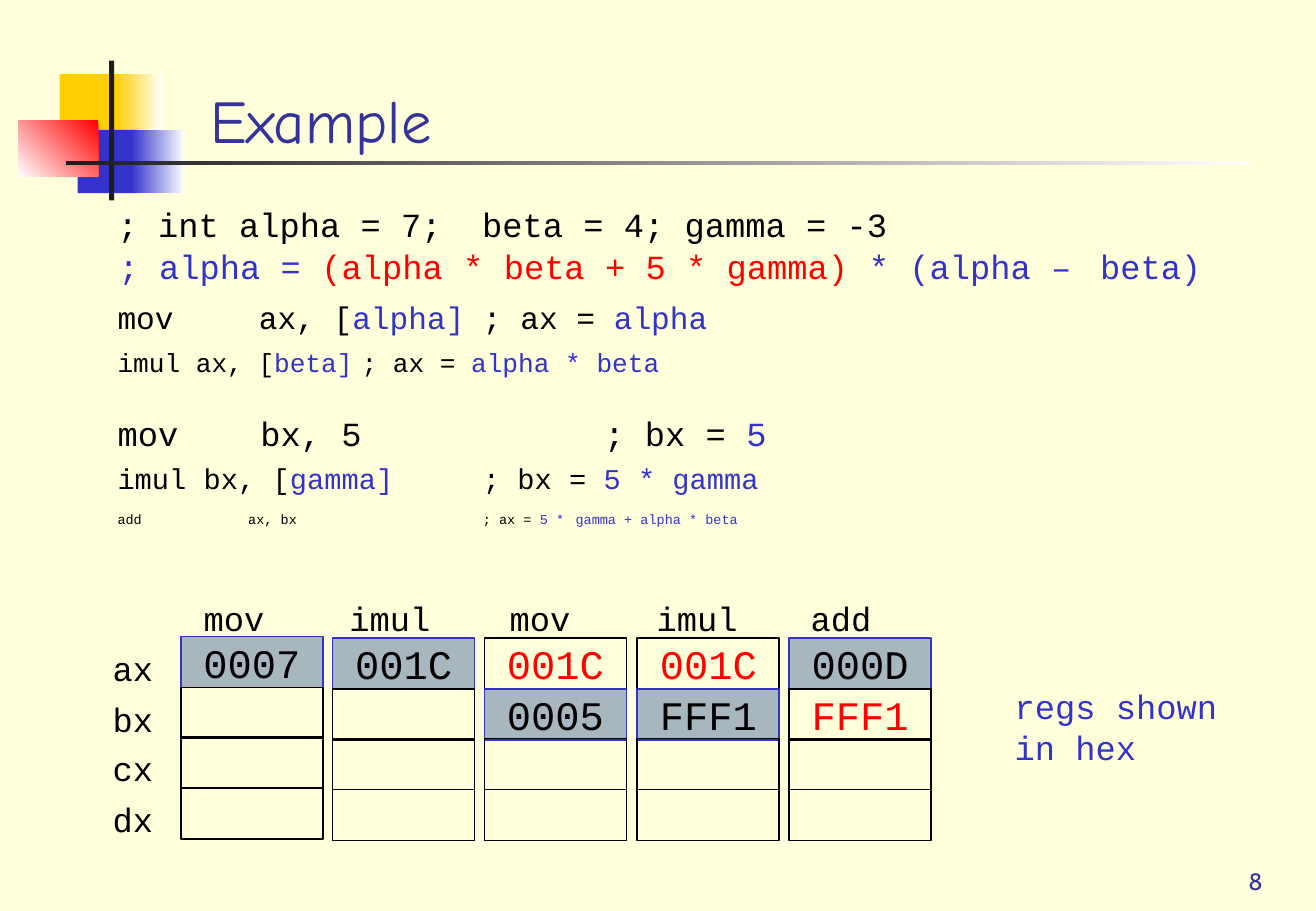
from pptx import Presentation
from pptx import util as u
from pptx.dml.color import RGBColor
from pptx.enum import shapes, text

PX = 9144  # EMU per px, 100 px to the inch
MONO, BLACK, BLUE, RED, NAVY = "Courier New", "000000", "3333CC", "FF0000", "333399"
CREAM, WHITE, GREY, DARK, YELLOW = "FFFFDB", "FFFFFF", "A8B6BE", "1C1C1C", "FFCF01"


def colour(code):
    return RGBColor.from_string(code)


class Builder:
    def __init__(self, deck):
        self.page = deck.slides.add_slide(deck.slide_layouts[5])
        self.page.background.fill.solid()
        self.page.background.fill.fore_color.rgb = colour(CREAM)

    def style(self, para, size, tint=BLACK, font=MONO):
        para.font.name = font
        para.font.size = u.Pt(size)
        para.font.color.rgb = colour(tint)

    def title(self, words, *place):
        box = self.page.shapes.title
        box.left, box.top, box.width, box.height = (n * PX for n in place)
        frame = box.text_frame
        frame.text = words
        frame.auto_size = text.MSO_AUTO_SIZE.NONE
        frame.vertical_anchor = text.MSO_ANCHOR.BOTTOM
        para = frame.paragraphs[0]
        para.alignment = text.PP_ALIGN.LEFT
        self.style(para, 36, NAVY, "Comic Neue")

    def rect(self, *place, fill=None, fade=None, line=None):
        """fade is (first colour, last colour, clockwise angle)."""
        box = self.page.shapes.add_shape(shapes.MSO_SHAPE.RECTANGLE, *(n * PX for n in place))
        box.shadow.inherit = False
        if fade:
            box.fill.gradient()
            box.fill.gradient_angle = 360 - fade[2]
            for stop, code in zip(box.fill.gradient_stops, fade):
                stop.color.rgb = colour(code)
        elif fill:
            box.fill.solid()
            box.fill.fore_color.rgb = colour(fill)
        else:
            box.fill.background()
        if line:
            box.line.color.rgb = colour(line)
            box.line.width = u.Pt(1)
        else:
            box.line.fill.background()
        return box

    def cell(self, *place, value="", fresh=False):
        box = self.rect(*place, fill=GREY if fresh else None, line=BLUE if fresh else BLACK)
        if value:
            frame = box.text_frame
            frame.text = value
            frame.word_wrap = False
            frame.vertical_anchor = text.MSO_ANCHOR.MIDDLE
            frame.paragraphs[0].alignment = text.PP_ALIGN.CENTER
            self.style(frame.paragraphs[0], 24, BLACK if fresh else RED)

    def label(self, words, *place, tint=BLACK):
        box = self.page.shapes.add_textbox(*(n * PX for n in place))
        frame = box.text_frame
        frame.text = words
        frame.word_wrap = False
        frame.auto_size = text.MSO_AUTO_SIZE.SHAPE_TO_FIT_TEXT
        for para in frame.paragraphs:
            self.style(para, 20, tint)

    def code(self, top, height, size, spacing, before, spans):
        """spans are (words, colour) or (words, colour, size); None breaks the line."""
        box = self.page.shapes.add_textbox(50 * PX, top * PX, 1003 * PX, height * PX)
        box.text_frame.word_wrap = True
        para = box.text_frame.paragraphs[0]
        para.line_spacing = spacing
        para.space_before = u.Pt(before)
        # Hanging indent and a tab stop at every inch
        props = para._p.get_or_add_pPr()
        props.set("marL", str(38 * PX))
        props.set("indent", str(-PX))
        props.set("defTabSz", str(100 * PX))
        self.style(para, size)
        for part in spans:
            if part is None:
                para.add_line_break()
                continue
            span = para.add_run()
            span.text = part[0]
            span.font.color.rgb = colour(part[1])
            if len(part) > 2:
                span.font.size = u.Pt(part[2])

    def number(self, words, *place):
        frame = self.page.shapes.add_textbox(*(n * PX for n in place)).text_frame
        frame.text = words
        frame.word_wrap = True
        frame.vertical_anchor = text.MSO_ANCHOR.BOTTOM
        frame.paragraphs[0].alignment = text.PP_ALIGN.RIGHT
        self.style(frame.paragraphs[0], 14, NAVY, "Cabin")


def main():
    deck = Presentation()
    deck.slide_width, deck.slide_height = 1084 * PX, 750 * PX
    slide = Builder(deck)

    # Corner ornament and rule
    slide.rect(49, 61, 52, 52, fill=YELLOW)
    slide.rect(95, 61, 39, 52, fade=(WHITE, YELLOW, 180))
    slide.rect(64, 107, 50, 52, fill=BLUE)
    slide.rect(108, 107, 44, 52, fade=(WHITE, BLUE, 180))
    slide.rect(15, 99, 66, 46, fade=(RED, WHITE, 135))
    slide.rect(90, 50, 4, 115, fill=DARK)
    slide.rect(54, 133, 975, 3, fade=(WHITE, DARK, 180))
    slide.title("Example", 163, 8, 923, 125)

    # Program listing: top, height, size, line spacing, space before, spans
    listing = [
        (169, 75, 20, 0.8, 7, [
            ("; int alpha = 7;  beta = 4; gamma = -3", BLACK), None,
            ("; alpha = ", BLUE), ("(alpha * beta + 5 * gamma)", RED),
            (" * (alpha –", BLUE), (" ", BLUE, 28), ("beta)", BLUE)]),
        (244, 42, 18.5, 0.9, 5, [
            ("mov\t ax, [", BLACK), ("alpha]\t", BLUE), ("; ax = ", BLACK), ("alpha", BLUE)]),
        (285, 38, 15.5, 0.8, 5, [
            ("imul ax, [", BLACK), ("beta]\t", BLUE), ("; ax = ", BLACK),
            ("alpha * beta", BLUE)]),
        (335, 43, 20, 1.0, 5, [("mov\t bx, 5\t\t; bx = ", BLACK), ("5", BLUE)]),
        (378, 38, 17, 0.9, 5, [
            ("imul bx, [", BLACK), ("gamma]\t", BLUE), ("; bx = ", BLACK),
            ("5 * gamma", BLUE)]),
        (415, 42, 8, 0.8, 5, [
            ("add\t ax, bx\t\t; ax = ", BLACK), ("5 *", BLUE), (" ", BLUE, 11.2),
            ("gamma + alpha * beta", BLUE)]),
    ]
    for row in listing:
        slide.code(*row)

    # Registers after each instruction: name, name left and width, values, row written
    row_pitch = 125 / 3
    steps = [
        ("mov", 158, 70, ["0007"], 0),
        ("imul", 278, 87, ["001C"], 0),
        ("mov", 410, 70, ["001C", "0005"], 1),
        ("imul", 531, 87, ["001C", "FFF1"], 1),
        ("add", 658, 70, ["000D", "FFF1"], 0),
    ]
    for column, (name, left, width, values, written) in enumerate(steps):
        slide.label(name, left, 487, width, 44)
        top = 525 if column else 524
        for row in range(4):
            slide.cell(149 + round(125.2 * column), top + round(row * row_pitch), 117, 42,
                       value=values[row] if row < len(values) else "",
                       fresh=row == written)
    for row, register in enumerate(["ax", "bx", "cx", "dx"]):
        slide.label(register, 83, 528 + round(row * row_pitch), 54, 44)

    # Side remark and page number
    slide.label("regs shown\nin hex", 826, 560, 187, 77, tint=BLUE)
    slide.number("8", 824, 692, 226, 50)

    deck.save("out.pptx")


if __name__ == "__main__":
    main()
